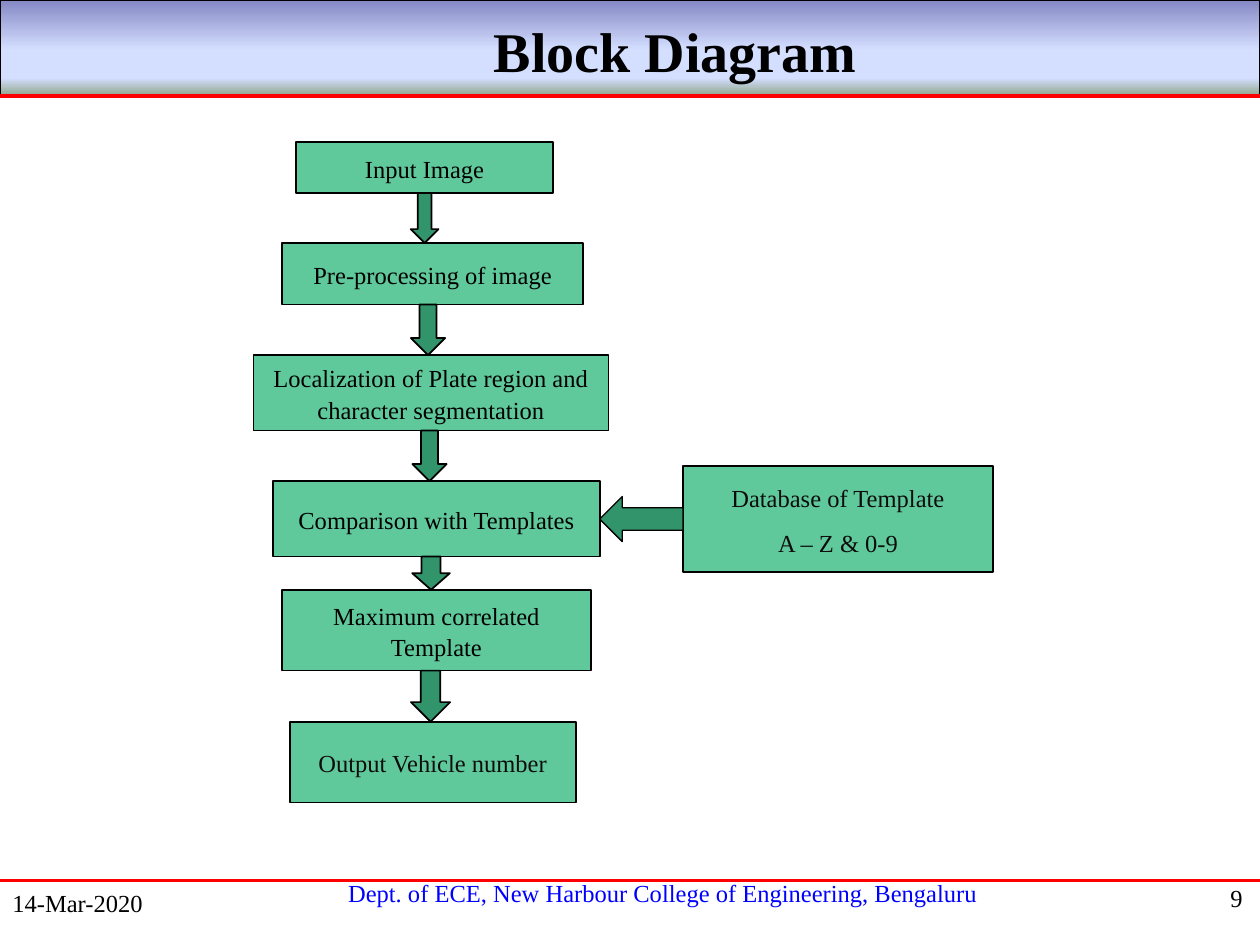
import lxml.etree
import pptx
import pptx.dml.color
import pptx.enum.shapes
import pptx.enum.text
import pptx.oxml.ns
import pptx.util

Cm, Pt = pptx.util.Cm, pptx.util.Pt
RGBColor = pptx.dml.color.RGBColor
SHAPE = pptx.enum.shapes.MSO_SHAPE
ALIGN = pptx.enum.text.PP_ALIGN
qn = pptx.oxml.ns.qn

FONT = "Times New Roman"
BLACK = RGBColor(0x00, 0x00, 0x00)
NEAR_BLACK = RGBColor(0x0D, 0x0D, 0x0D)
RED = RGBColor(0xFF, 0x00, 0x00)
BLUE = RGBColor(0x00, 0x00, 0xFF)
BLOCK_GREEN = RGBColor(0x60, 0xC9, 0x9C)
ARROW_GREEN = RGBColor(0x32, 0x94, 0x6A)
BANNER_STOPS = [
    (0, RGBColor(0x84, 0x88, 0xC4)),
    (53, RGBColor(0xD4, 0xDE, 0xFF)),
    (83, RGBColor(0xD4, 0xDE, 0xFF)),
    (100, RGBColor(0x96, 0xAB, 0x94)),
]

SLIDE_WIDTH, SLIDE_HEIGHT = 25.4, 19.05

# Text, left, top, width, height (cm within the diagram), text colour
STEPS = [
    ("Input Image", 0.86, 0, 5.18, 1.02, BLACK),
    ("Pre-processing of image", 0.58, 2.03, 6.07, 1.24, BLACK),
    ("Localization of Plate region and character segmentation",
     0, 4.29, 7.16, 1.52, BLACK),
    ("Comparison with Templates", 0.4, 6.83, 6.58, 1.52, BLACK),
    ("Maximum correlated Template", 0.58, 9.02, 6.22, 1.63, BLACK),
    ("Output Vehicle number", 0.73, 11.68, 5.77, 1.63, NEAR_BLACK),
]
# Centre and width of the arrow below each step but the last
STEP_ARROWS = [(3.45, 0.56), (3.52, 0.69), (3.55, 0.69), (3.58, 0.76), (3.57, 0.79)]
COMPARISON = STEPS[3]
DATABASE_LINES = ["Database of Template", "A – Z & 0-9"]


def add_run(paragraph, text, size, color, bold=False):
    run = paragraph.add_run()
    run.text = text
    run.font.name = FONT
    run.font.size = Pt(size)
    run.font.bold = bold
    run.font.color.rgb = color


def add_label(slide, text, left, top, width, height, align, size=14,
              color=BLACK, bold=False):
    label = slide.shapes.add_textbox(Cm(left), Cm(top), Cm(width), Cm(height))
    label.text_frame.word_wrap = True
    paragraph = label.text_frame.paragraphs[0]
    paragraph.alignment = align
    add_run(paragraph, text, size, color, bold)


def add_rule(slide, top, weight):
    """Draw a red line across the whole slide."""
    rule = slide.shapes.add_connector(
        pptx.enum.shapes.MSO_CONNECTOR.STRAIGHT,
        Cm(0), Cm(top), Cm(SLIDE_WIDTH), Cm(top))
    rule.line.color.rgb = RED
    rule.line.width = Pt(weight)
    lxml.etree.SubElement(rule._element.spPr, qn("a:effectLst"))


def add_outlined(slide, kind, left, top, width, height, fill=None, weight=1):
    shape = slide.shapes.add_shape(kind, Cm(left), Cm(top), Cm(width), Cm(height))
    shape.shadow.inherit = False
    shape.line.color.rgb = BLACK
    shape.line.width = Pt(weight)
    if fill is not None:
        shape.fill.solid()
        shape.fill.fore_color.rgb = fill
    return shape


def fill_banner(banner):
    banner.fill.gradient()
    banner.fill.gradient_angle = 270
    stop_list = banner._element.spPr.find(".//" + qn("a:gsLst"))
    for stop in list(stop_list):
        stop_list.remove(stop)
    for percent, color in BANNER_STOPS:
        stop = lxml.etree.SubElement(stop_list, qn("a:gs"), pos=str(percent * 1000))
        lxml.etree.SubElement(stop, qn("a:srgbClr"), val=str(color))


def add_header(slide, left, top, width, height):
    fill_banner(add_outlined(slide, SHAPE.RECTANGLE, left, top, width, height,
                             weight=0.75))
    add_rule(slide, top + height + 0.03, 2.25)
    add_label(slide, "Block Diagram", left + 1.93, top + 0.2, width - 2.03, 1.63,
              ALIGN.CENTER, size=32, bold=True)


def add_footer(slide, left, top, width):
    add_label(slide, "Dept. of ECE, New Harbour College of Engineering, Bengaluru",
              left + 4.5, top - 0.17, 17.73, 0.84, ALIGN.CENTER, color=BLUE)
    add_rule(slide, top, 1.5)
    add_label(slide, "14-Mar-2020", left, top + 0.03, 5.28, 1.27, ALIGN.LEFT)
    add_label(slide, "9", left + width - 5.38, top - 0.07, 5.28, 1.27, ALIGN.RIGHT)


def add_block(slide, lines, left, top, width, height, color):
    block = add_outlined(slide, SHAPE.RECTANGLE, left, top, width, height, BLOCK_GREEN)
    frame = block.text_frame
    frame.word_wrap = True
    frame.vertical_anchor = pptx.enum.text.MSO_ANCHOR.MIDDLE
    for index, line in enumerate(lines):
        paragraph = frame.add_paragraph() if index else frame.paragraphs[0]
        paragraph.alignment = ALIGN.CENTER
        paragraph.line_spacing = 1.07
        paragraph.space_after = Pt(8)
        add_run(paragraph, line, 14, color)


def add_diagram(slide, left, top):
    for text, x, y, width, height, color in STEPS:
        add_block(slide, [text], left + x, top + y, width, height, color)

    database_x = 8.66
    add_block(slide, DATABASE_LINES, left + database_x, top + 6.53, 6.25, 2.13,
              NEAR_BLACK)

    for step, following, (centre, width) in zip(STEPS, STEPS[1:], STEP_ARROWS):
        step_bottom = step[2] + step[4]
        add_outlined(slide, SHAPE.DOWN_ARROW, left + centre - width / 2,
                     top + step_bottom, width, following[2] - step_bottom,
                     ARROW_GREEN)

    comparison_right = COMPARISON[1] + COMPARISON[3]
    add_outlined(slide, SHAPE.LEFT_ARROW, left + comparison_right, top + 7.14,
                 database_x - comparison_right, 0.91, ARROW_GREEN, weight=0.75)


def main():
    deck = pptx.Presentation()
    deck.slide_width, deck.slide_height = Cm(SLIDE_WIDTH), Cm(SLIDE_HEIGHT)
    slide = deck.slides.add_slide(deck.slide_layouts[6])
    add_header(slide, 0, 0, SLIDE_WIDTH, 1.9)
    add_footer(slide, 0, 17.75, SLIDE_WIDTH)
    add_diagram(slide, 5.11, 2.87)
    deck.save("out.pptx")


if __name__ == "__main__":
    main()
